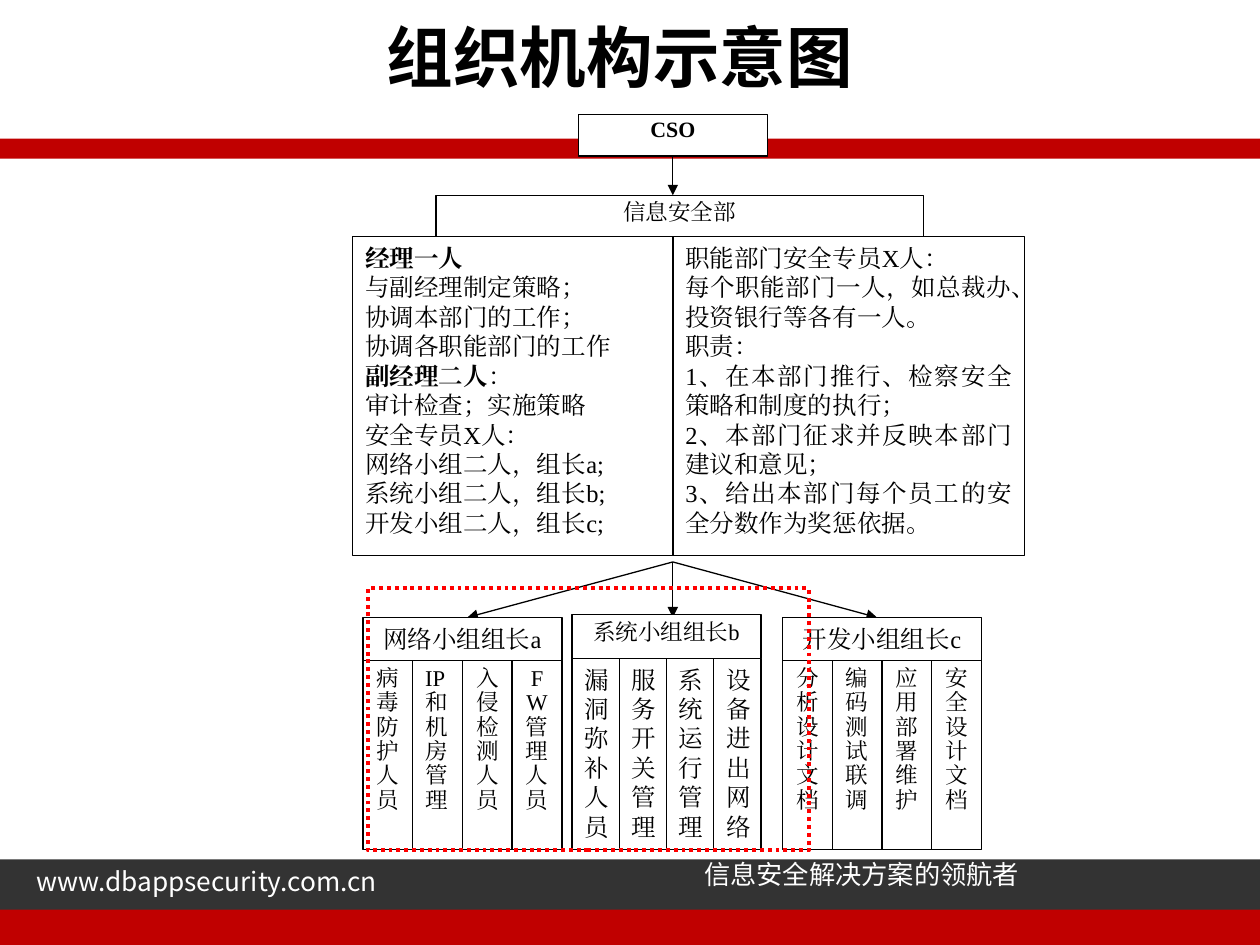
import pptx
import pptx.util
import pptx.dml.color
import pptx.enum.dml
import pptx.enum.shapes
import pptx.enum.text
import pptx.oxml
import pptx.oxml.ns

Inches, Pt = pptx.util.Inches, pptx.util.Pt
Align = pptx.enum.text.PP_ALIGN
RECTANGLE = pptx.enum.shapes.MSO_SHAPE.RECTANGLE
STRAIGHT = pptx.enum.shapes.MSO_CONNECTOR.STRAIGHT

COLORS = {"black": "000000", "white": "FFFFFF", "brand": "C00000",
          "footer": "333333", "highlight": "FF0000"}
SANS, SERIF = "Noto Sans CJK SC", "Times New Roman"

# Content: a paragraph is a string, or a list of (text, bold) runs
TITLE = "组织机构示意图"
BANDS = [((0, 6.82, 10, 0.47), "footer"), ((0, 7.22, 10, 0.28), "brand"),
         ((0, 1.1, 10, 0.16), "brand")]
FOOTERS = [((5.49, 6.76, 2.7, 0.35), "信息安全解决方案的领航者"),
           ((0.19, 6.82, 2.9, 0.35), "www.dbappsecurity.com.cn")]
MANAGERS = [
    [("经理一人", True)],
    "与副经理制定策略；",
    "协调本部门的工作；",
    "协调各职能部门的工作",
    [("副经理二人", True), ("：", False)],
    "审计检查；实施策略",
    "安全专员X人：",
    "网络小组二人，组长a;",
    "系统小组二人，组长b;",
    "开发小组二人，组长c;",
]
OFFICERS = [
    "职能部门安全专员X人：",
    "每个职能部门一人，如总裁办、投资银行等各有一人。",
    "职责：",
    "1、在本部门推行、检察安全策略和制度的执行；",
    "2、本部门征求并反映本部门建议和意见；",
    "3、给出本部门每个员工的安全分数作为奖惩依据。",
]
NORMAL = {"size": 14}
TIGHT = {"size": 12.9, "spacing": 0.9}
TEAMS = [
    {"leader": "网络小组组长a", "left": 2.88, "top": 4.9, "width": 1.58,
     "leader_format": NORMAL, "member_format": TIGHT, "justified": 1,
     "members": ["病毒防护人员", "IP和机房管理", "入侵检测人员", "FW管理人员"]},
    {"leader": "系统小组组长b", "left": 4.54, "top": 4.88, "width": 1.5,
     "leader_format": TIGHT, "member_format": NORMAL, "justified": 2,
     "members": ["漏洞弥补人员", "服务开关管理", "系统运行管理", "设备进出网络"]},
    {"leader": "开发小组组长c", "left": 6.21, "top": 4.9, "width": 1.58,
     "leader_format": NORMAL, "member_format": TIGHT, "justified": None,
     "members": ["分析设计文档", "编码测试联调", "应用部署维护", "安全设计文档"]},
]
CENTER_X = 5.34
TEAM_BOTTOM = 6.74
LEADER_HEIGHT = 0.345


def rgb(name):
    return pptx.dml.color.RGBColor.from_string(COLORS[name])


def write_text(shape, paragraphs, size=14, font=SERIF, color="black", bold=False,
               align=Align.CENTER, spacing=None, wrap=True):
    frame = shape.text_frame
    frame.word_wrap = wrap
    frame.auto_size = pptx.enum.text.MSO_AUTO_SIZE.NONE
    frame.vertical_anchor = pptx.enum.text.MSO_ANCHOR.TOP
    for index, content in enumerate(paragraphs):
        paragraph = frame.paragraphs[0] if index == 0 else frame.add_paragraph()
        paragraph.alignment = align
        if spacing:
            paragraph.line_spacing = spacing
        runs = [(content, bold)] if isinstance(content, str) else content
        for text, run_bold in runs:
            run = paragraph.add_run()
            run.text = text
            run.font.size = Pt(size)
            run.font.name = font
            run.font.bold = run_bold
            run.font.color.rgb = rgb(color)
            east_asian = pptx.oxml.parse_xml(
                f'<a:ea {pptx.oxml.ns.nsdecls("a")} typeface="{font}"/>')
            run.font._element.find(pptx.oxml.ns.qn("a:latin")).addnext(east_asian)


def add_box(slide, place, fill="white", line="black", line_width=0.75):
    shape = slide.shapes.add_shape(RECTANGLE, *map(Inches, place))
    shape.shadow.inherit = False
    if fill:
        shape.fill.solid()
        shape.fill.fore_color.rgb = rgb(fill)
    else:
        shape.fill.background()
    if line:
        shape.line.color.rgb = rgb(line)
        shape.line.width = Pt(line_width)
    else:
        shape.line.fill.background()
    return shape


def add_arrow(slide, start, end):
    arrow = slide.shapes.add_connector(STRAIGHT, *map(Inches, start + end))
    arrow.line.color.rgb = rgb("black")
    arrow.line.width = Pt(0.75)
    namespace = pptx.oxml.ns.nsdecls("a")
    arrow.line._get_or_add_ln().append(
        pptx.oxml.parse_xml(f'<a:tailEnd {namespace} type="triangle"/>'))
    arrow._element.spPr.append(pptx.oxml.parse_xml(f"<a:effectLst {namespace}/>"))
    return arrow


def add_team(slide, team):
    left, top, width = team["left"], team["top"], team["width"]
    leader = add_box(slide, (left, top, width, LEADER_HEIGHT))
    write_text(leader, [team["leader"]], **team["leader_format"])
    member_top = top + LEADER_HEIGHT
    member_width = width / len(team["members"])
    for index, member in enumerate(team["members"]):
        box = add_box(slide, (left + index * member_width, member_top,
                              member_width, TEAM_BOTTOM - member_top))
        align = Align.JUSTIFY if index == team["justified"] else Align.CENTER
        write_text(box, [member], align=align, **team["member_format"])


def main():
    presentation = pptx.Presentation()
    presentation.slide_width, presentation.slide_height = Inches(10), Inches(7.5)
    slide = presentation.slides.add_slide(presentation.slide_layouts[5])

    # Title
    title = slide.shapes.title
    title.left, title.top, title.width, title.height = map(
        Inches, (1.25, 0.08, 7.34, 0.56))
    write_text(title, [TITLE], size=38, font=SANS, bold=True)

    # Bands and footer text
    for place, color in BANDS:
        add_box(slide, place, fill=color, line=None)
    for place, text in FOOTERS:
        footer = slide.shapes.add_textbox(*map(Inches, place))
        write_text(footer, [text], size=15, font=SANS, color="white",
                   align=Align.LEFT, wrap=False)

    # Arrows to the teams, then the teams
    for end_x in (3.71, CENTER_X, 6.96):
        add_arrow(slide, (CENTER_X, 4.46), (end_x, 4.9))
    for team in TEAMS:
        add_team(slide, team)

    # Security officer and department
    officer = add_box(slide, (4.59, 0.91, 1.5, 0.33))
    write_text(officer, ["CSO"], size=12.5, bold=True, spacing=0.8)
    arrow = add_arrow(slide, (CENTER_X, 1.24), (CENTER_X, 1.55))
    arrow.begin_connect(officer, 2)
    department = add_box(slide, (3.46, 1.55, 3.87, 0.33))
    write_text(department, ["信息安全部"], **TIGHT)
    for left, width, duties in ((2.8, 2.54, MANAGERS), (CENTER_X, 2.79, OFFICERS)):
        duty_box = add_box(slide, (left, 1.88, width, 2.53))
        write_text(duty_box, duties, align=Align.JUSTIFY, **NORMAL)

    # Dotted highlight
    highlight = add_box(slide, (2.92, 4.67, 3.5, 2.08), fill=None,
                        line="highlight", line_width=2.25)
    highlight.line.dash_style = pptx.enum.dml.MSO_LINE.ROUND_DOT

    presentation.save("out.pptx")


if __name__ == "__main__":
    main()
